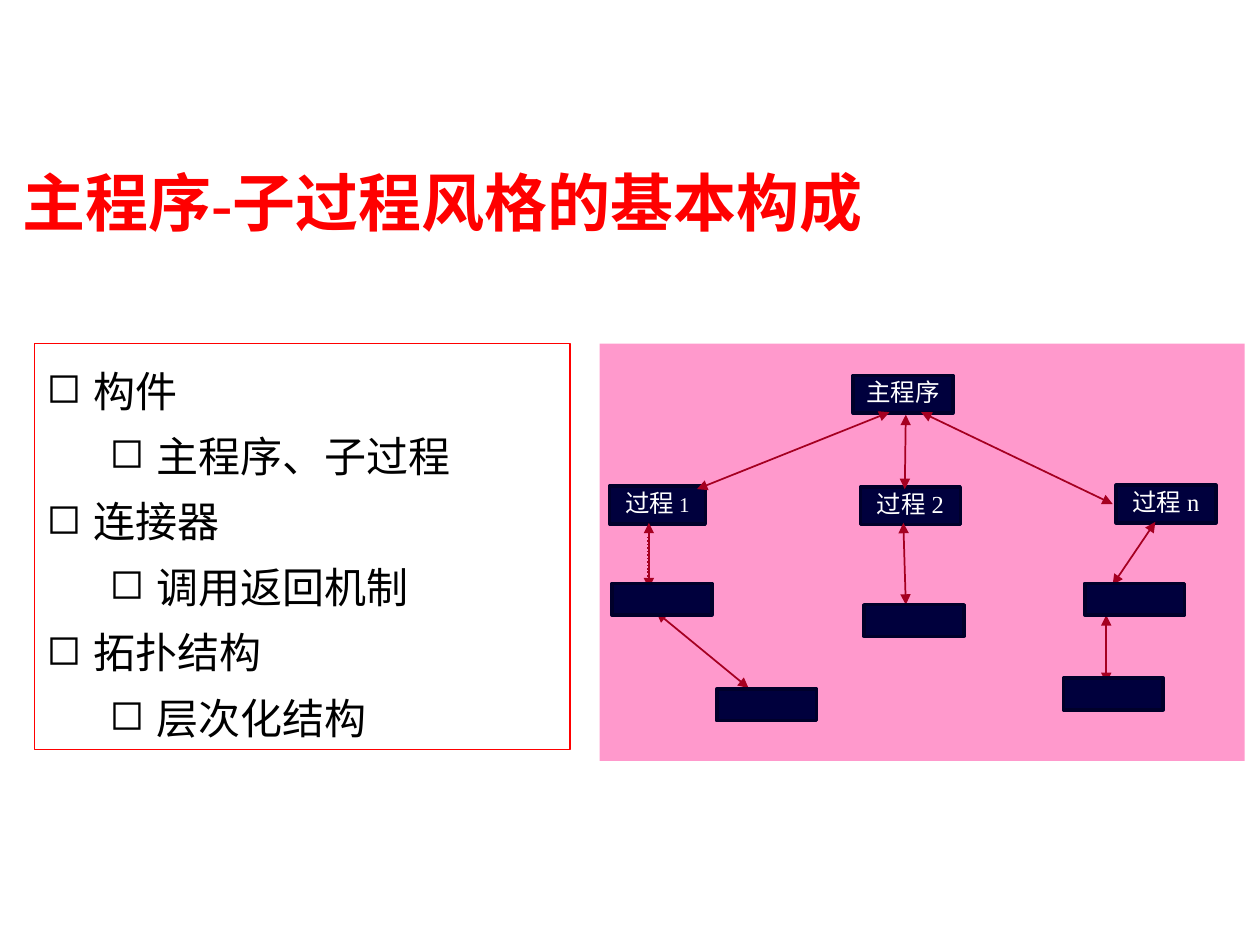
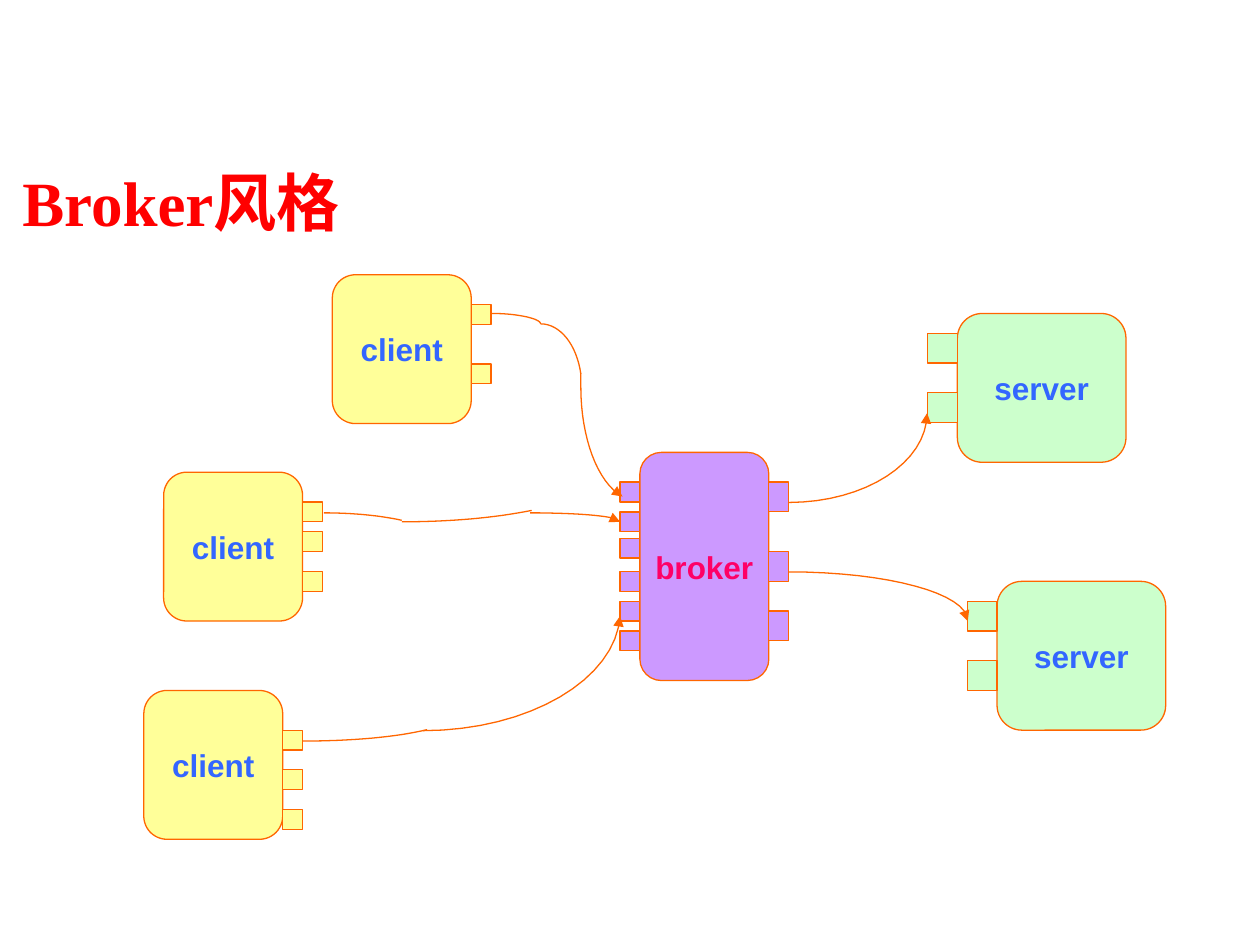
from dataclasses import dataclass

from lxml import etree
from pptx import Presentation
from pptx import util as u
from pptx.dml.color import RGBColor
from pptx.enum import dml, shapes, text
from pptx.oxml import ns

Cm, Pt = u.Cm, u.Pt
RECT = shapes.MSO_SHAPE.RECTANGLE
ROUNDED = shapes.MSO_SHAPE.ROUNDED_RECTANGLE


@dataclass(frozen=True)
class Theme:
    serif: str = "Times New Roman"
    sans: str = "Arial"
    red: str = "FF0000"
    black: str = "000000"
    white: str = "FFFFFF"
    panel: str = "FF99CC"
    node: str = "00003D"
    node_edge: str = "00002A"
    call: str = "A50021"
    orange: str = "FF6600"
    client: str = "FFFF99"
    server: str = "CCFFCC"
    broker: str = "CC99FF"
    label: str = "3366FF"
    broker_label: str = "FF0066"
    title_size: int = 36
    list_size: int = 24
    label_size: int = 18
    node_size: int = 14
    small_size: int = 12
    thin: float = 0.75
    arrow: float = 1
    thick: float = 2


def add_xml(parent, tag, **attributes):
    return etree.SubElement(parent, ns.qn(tag), attributes)


def bezier_points(controls, steps=16):
    """Points along a chain of cubic curves: a start, then three points per curve."""
    points = [controls[0]]
    for first in range(0, len(controls) - 1, 3):
        a, b, c, d = controls[first:first + 4]
        for step in range(1, steps + 1):
            t = step / steps
            s = 1 - t
            weights = s ** 3, 3 * s * s * t, 3 * s * t * t, t ** 3
            points.append(tuple(sum(w * p[axis] for w, p in zip(weights, (a, b, c, d)))
                                for axis in (0, 1)))
    return points


class Painter:
    def __init__(self, deck, theme):
        self.deck, self.theme, self.page = deck, theme, None

    def new_page(self, title):
        self.page = self.deck.slides.add_slide(self.deck.slide_layouts[6])
        box = self.page.shapes.add_textbox(Cm(0.2), Cm(3.18), Cm(19.3), Cm(1.78))
        box.text_frame.word_wrap = True
        box.text_frame.text = title
        t = self.theme
        self.style(box.text_frame.paragraphs[0], t.title_size, t.red, t.serif, True)

    def style(self, para, size, color, font, bold=False):
        for span in para.runs:
            span.font.size, span.font.name, span.font.bold = Pt(size), font, bold
            span.font.color.rgb = RGBColor.from_string(color)

    def stroke(self, shape, color, width):
        shape.line.color.rgb = RGBColor.from_string(color)
        shape.line.width = Pt(width)

    def arrowheads(self, shape, *ends):
        for end in ends:
            add_xml(shape.element.spPr.get_or_add_ln(), f"a:{end}", type="triangle")

    def box(self, kind, left, top, width, height, fill, edge=None, weight=None):
        shape = self.page.shapes.add_shape(kind, Cm(left), Cm(top), Cm(width), Cm(height))
        shape.shadow.inherit = False
        shape.fill.solid()
        shape.fill.fore_color.rgb = RGBColor.from_string(fill)
        if edge:
            self.stroke(shape, edge, weight)
        else:
            shape.line.fill.background()
        return shape

    def caption(self, shape, words, size, color, font, bold=False):
        frame = shape.text_frame
        frame.word_wrap = False
        frame.text = words
        para = frame.paragraphs[0]
        para.alignment = text.PP_ALIGN.CENTER
        self.style(para, size, color, font, bold)
        return para

    def bullet_box(self, left, top, width, height, items):
        t = self.theme
        frame = self.box(RECT, left, top, width, height, t.white, t.red, t.thin).text_frame
        frame.word_wrap = True
        frame.vertical_anchor = text.MSO_ANCHOR.TOP
        frame.text = "\n".join(words for _, words in items)
        for para, (level, _) in zip(frame.paragraphs, items):
            para.level = level
            para.alignment = text.PP_ALIGN.LEFT
            para.line_spacing = 1.3
            props = para._p.get_or_add_pPr()
            props.set("marL", str(Cm(0.95 + 1.27 * level)))
            props.set("indent", str(Cm(-0.95)))
            add_xml(add_xml(props, "a:buClr"), "a:srgbClr", val=t.black)
            add_xml(props, "a:buChar", char="◻")
            self.style(para, t.list_size, t.black, t.serif)

    def node(self, left, top, height, width=2.01):
        t = self.theme
        return self.box(RECT, left, top, width, height, t.node, t.node_edge, t.thick)

    def named_node(self, left, top, words, width=2.01, small=""):
        """A dark box with a name; the part in small is set in smaller type."""
        t = self.theme
        shape = self.node(left, top, 0.76, width)
        shape.text_frame.vertical_anchor = text.MSO_ANCHOR.TOP
        para = self.caption(shape, words, t.node_size, t.white, t.serif)
        para.line_spacing = 0.85
        if small:
            para.add_run().text = small
            self.style(para, t.node_size, t.white, t.serif)
            para.runs[-1].font.size = Pt(t.small_size)

    def call_line(self, x1, y1, x2, y2, dotted=False):
        line = self.page.shapes.add_connector(
            shapes.MSO_CONNECTOR.STRAIGHT, Cm(x1), Cm(y1), Cm(x2), Cm(y2))
        self.stroke(line, self.theme.call, self.theme.arrow)
        if dotted:
            line.line.dash_style = dml.MSO_LINE.ROUND_DOT
        else:
            self.arrowheads(line, "headEnd", "tailEnd")
        add_xml(line.element.spPr, "a:effectLst")

    def curve(self, controls, arrow):
        points = [(Cm(x), Cm(y)) for x, y in bezier_points(controls)]
        builder = self.page.shapes.build_freeform(*points[0])
        builder.add_line_segments(points[1:], close=False)
        shape = builder.convert_to_shape()
        shape.shadow.inherit = False
        shape.fill.background()
        self.stroke(shape, self.theme.orange, self.theme.thin)
        if arrow:
            self.arrowheads(shape, "tailEnd")

    def component(self, words, left, top, size, fill, color, inputs=(), outputs=(),
                  input_size=(0.4, 0.4), output_size=(0.4, 0.4)):
        """A rounded box with ports on its left (inputs) and right (outputs) side."""
        t = self.theme
        body = self.box(ROUNDED, left, top, *size, fill, t.orange, t.thin)
        body.text_frame.vertical_anchor = text.MSO_ANCHOR.MIDDLE
        self.caption(body, words, t.label_size, color, t.sans, True)
        sides = ((inputs, left - input_size[0], input_size),
                 (outputs, left + size[0], output_size))
        for offsets, port_left, port_size in sides:
            for offset in offsets:
                self.box(RECT, port_left, top + offset, *port_size, fill, t.orange, t.thin)


def draw_call_tree(painter):
    painter.new_page("主程序-子过程风格的基本构成")
    painter.bullet_box(0.69, 6.93, 10.8, 8.18, [
        (0, "构件"), (1, "主程序、子过程"),
        (0, "连接器"), (1, "调用返回机制"),
        (0, "拓扑结构"), (1, "层次化结构")])
    painter.box(RECT, 12.09, 6.93, 13, 8.41, painter.theme.panel)
    painter.named_node(17.2, 7.57, "主程序")
    painter.named_node(12.29, 9.8, "过程", 1.93, " 1")
    painter.named_node(17.35, 9.82, "过程 2")
    painter.named_node(22.5, 9.78, "过程 n")
    calls = [
        (17.93, 8.31, 14.05, 9.86), (18.57, 8.31, 22.43, 10.16),
        (18.26, 8.36, 18.24, 9.86), (22.3, 12.4, 22.3, 13.77),
        (13.23, 12.34, 15.09, 13.87), (13.08, 10.54, 13.08, 11.86),
        (18.21, 10.54, 18.26, 12.19), (23.29, 10.52, 22.43, 11.79)]
    for ends in calls:
        painter.call_line(*ends)
    painter.call_line(13.06, 10.82, 13.06, 11.63, dotted=True)
    for left, top in [(14.45, 13.89), (21.44, 13.67), (21.87, 11.76),
                      (12.34, 11.76), (17.42, 12.19)]:
        painter.node(left, top, 0.64)


def draw_broker(painter):
    t = painter.theme
    painter.new_page("Broker风格")
    for left, top, ports in [(6.7, 5.54, (0.6, 1.8)),
                             (3.3, 9.52, (0.6, 1.2, 2)),
                             (2.9, 13.92, (0.8, 1.6, 2.4))]:
        painter.component("client", left, top, (2.8, 3), t.client, t.label, outputs=ports)
    for left, top in [(19.3, 6.32), (20.1, 11.72)]:
        painter.component("server", left, top, (3.4, 3), t.server, t.label,
                          inputs=(0.4, 1.6), input_size=(0.6, 0.6))
    painter.component("broker", 12.9, 9.12, (2.6, 4.6), t.broker, t.broker_label,
                      inputs=(0.6, 1.2, 1.73, 2.4, 3, 3.6), outputs=(0.6, 2, 3.2),
                      output_size=(0.4, 0.6))
    requests = [
        [[(9.91, 6.32), (10.46, 6.32), (10.9, 6.43), (10.9, 6.53)],
         [(10.9, 6.53), (11.3, 6.53), (11.63, 6.96), (11.71, 7.54)],
         [(11.71, 7.52), (11.71, 7.6), (11.71, 7.7), (11.71, 7.8),
          (11.71, 8.81), (12.04, 9.73), (12.55, 10.01)]],
        [[(6.53, 10.34), (7.09, 10.34), (7.65, 10.39), (8.1, 10.49)],
         [(8.1, 10.52), (9.09, 10.52), (9.98, 10.44), (10.72, 10.29)],
         [(10.69, 10.34), (11.68, 10.34), (12.5, 10.41), (12.5, 10.52)]],
        [[(6.1, 14.94), (7.09, 14.94), (8, 14.86), (8.61, 14.71)],
         [(8.53, 14.73), (10.67, 14.73), (12.42, 13.69), (12.5, 12.42)]],
        [[(15.9, 10.13), (17.45, 10.13), (18.69, 9.32), (18.69, 8.33)]],
        [[(15.9, 11.53), (17.88, 11.53), (19.51, 11.96), (19.51, 12.52)]]]
    for pieces in requests:
        for piece in pieces:
            painter.curve(piece, arrow=piece is pieces[-1])


def main():
    deck = Presentation()
    deck.slide_width, deck.slide_height = Cm(25.4), Cm(19.05)
    painter = Painter(deck, Theme())
    draw_call_tree(painter)
    draw_broker(painter)
    deck.save("out.pptx")


if __name__ == "__main__":
    main()
